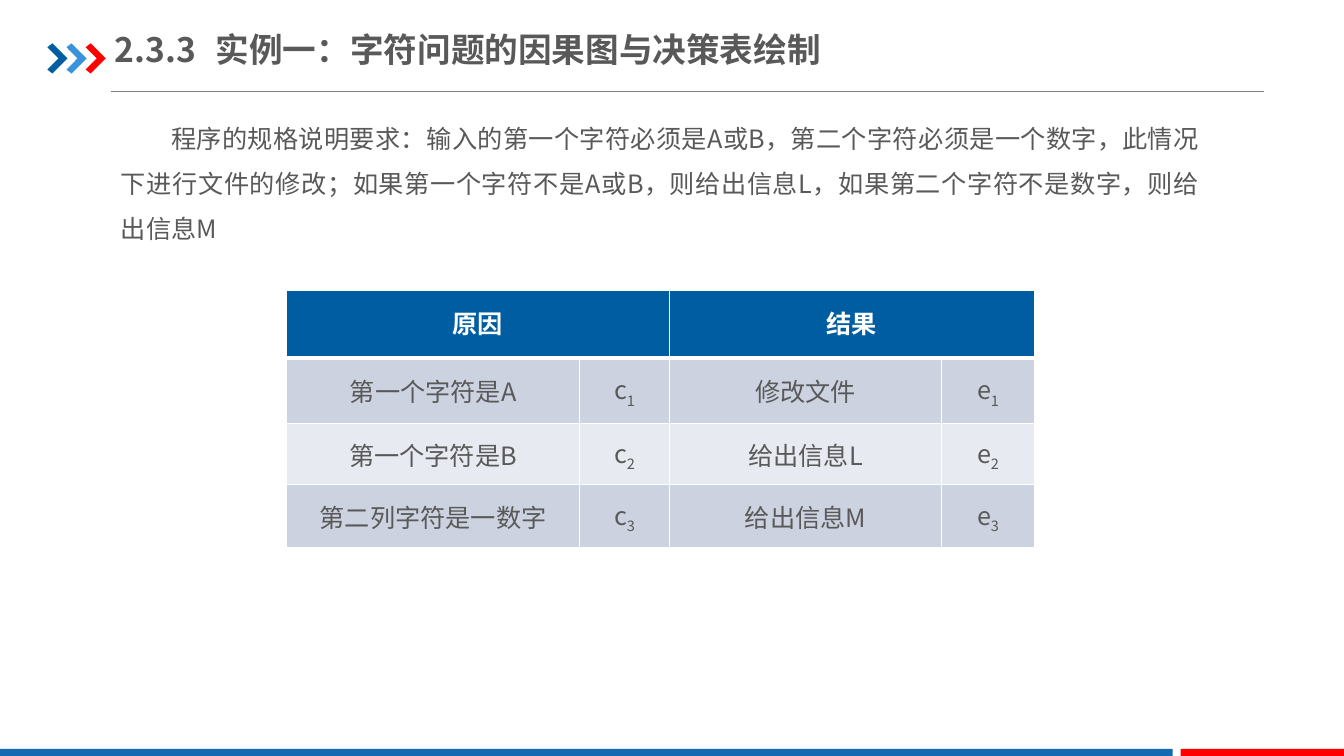
import pptx
import pptx.util
import pptx.dml.color
import pptx.enum.shapes
import pptx.enum.text
import pptx.oxml
import pptx.oxml.ns
from dataclasses import dataclass

Inches, Pt = pptx.util.Inches, pptx.util.Pt
ALIGN, ANCHOR = pptx.enum.text.PP_ALIGN, pptx.enum.text.MSO_ANCHOR
NS = pptx.oxml.ns.nsdecls("a")


@dataclass(frozen=True)
class Theme:
    font: str = "Noto Sans CJK SC"
    ink: str = "595959"
    white: str = "FFFFFF"
    navy: str = "005DA2"
    sky: str = "3992DB"
    blue: str = "1369B2"
    red: str = "FF0000"
    rule: str = "808080"
    odd: str = "CCD2E0"
    even: str = "E7EAF0"
    head: int = 24
    body: int = 18


THEME = Theme()


def rgb(code):
    return pptx.dml.color.RGBColor.from_string(code)


def style(par, size, color, bold=False):
    for run in par.runs:
        run.font.name = THEME.font
        run.font.size = Pt(size)
        run.font.bold = bold
        run.font.color.rgb = rgb(color)
        run._r.get_or_add_rPr().append(pptx.oxml.parse_xml(
            f'<a:ea {NS} typeface="{THEME.font}"/>'))


def paint(shape, color):
    shape.shadow.inherit = False
    shape.fill.solid()
    shape.fill.fore_color.rgb = rgb(color)
    shape.line.fill.background()


def place(shape, left, top, width, height):
    shape.left, shape.top = Inches(left), Inches(top)
    shape.width, shape.height = Inches(width), Inches(height)


# Three chevrons beside the title
def add_marks(slide, left, top, width, height):
    outline = [(0, 0.13), (0.25, 0), (1, 0.5), (0.25, 1), (0, 0.87), (0.55, 0.5)]
    step = 0.19
    wide = width - 2 * step
    for i, color in enumerate((THEME.navy, THEME.sky, THEME.red)):
        points = [(Inches(left + i * step + x * wide), Inches(top + y * height))
                  for x, y in outline]
        pen = slide.shapes.build_freeform(*points[0])
        pen.add_line_segments(points[1:], close=True)
        paint(pen.convert_to_shape(), color)


# Title with the rule below it
def add_title(slide, text, left, top, width, height):
    title = slide.shapes.title
    place(title, left, top, width, height)
    frame = title.text_frame
    frame.text = text
    frame.auto_size = pptx.enum.text.MSO_AUTO_SIZE.NONE
    frame.vertical_anchor = ANCHOR.MIDDLE
    frame.margin_left = frame.margin_right = 0
    frame.margin_top = frame.margin_bottom = Inches(0.07)
    frame.paragraphs[0].alignment = ALIGN.LEFT
    style(frame.paragraphs[0], THEME.head, THEME.ink, True)

    base = Inches(top + height + 0.15)
    rule = slide.shapes.add_connector(
        pptx.enum.shapes.MSO_CONNECTOR.STRAIGHT,
        Inches(left - 0.04), base, Inches(left + 11.4), base)
    rule.line.color.rgb = rgb(THEME.rule)
    rule.line.width = Pt(0.75)
    rule._element.spPr.append(pptx.oxml.parse_xml(f"<a:effectLst {NS}/>"))


# Paragraph with a first-line indent
def add_body(slide, text, left, top, width, height):
    box = slide.shapes.add_textbox(
        Inches(left), Inches(top), Inches(width), Inches(height))
    frame = box.text_frame
    frame.word_wrap = True
    frame.margin_left = frame.margin_right = Inches(0.13)
    frame.margin_top = frame.margin_bottom = Inches(0.07)
    frame.text = text
    par = frame.paragraphs[0]
    par.alignment = ALIGN.JUSTIFY
    par.line_spacing = 1.5
    par._p.get_or_add_pPr().set("indent", str(Inches(0.5)))
    style(par, THEME.body, THEME.ink)


def fill_cell(cell, text, sub, fill, color, head):
    props = cell._tc.get_or_add_tcPr()
    for side in "LRTB":
        width = Pt(3 if head and side == "B" else 1)
        props.append(pptx.oxml.parse_xml(
            f'<a:ln{side} {NS} w="{width}"><a:solidFill>'
            f'<a:srgbClr val="{THEME.white}"/></a:solidFill></a:ln{side}>'))
    cell.fill.solid()
    cell.fill.fore_color.rgb = rgb(fill)
    cell.vertical_anchor = ANCHOR.MIDDLE
    par = cell.text_frame.paragraphs[0]
    par.text = text
    par.alignment = ALIGN.CENTER
    if head:
        par.line_spacing = 0.9
    if sub:
        run = par.add_run()
        run.text = sub
        run._r.get_or_add_rPr().set("baseline", "-25000")
    style(par, THEME.body, color, head)


# Table of causes and effects
def add_grid(slide, heads, pairs, left, top, width, height):
    cols, rows = (2.91, 0.89, 2.7, 0.92), (0.67, 0.65, 0.61, 0.62)
    grid = slide.shapes.add_table(
        len(rows), len(cols), Inches(left), Inches(top),
        Inches(width), Inches(height)).table
    for col, size in zip(grid.columns, cols):
        col.width = Inches(size)
    for row, size in zip(grid.rows, rows):
        row.height = Inches(size)

    for i, head in enumerate(heads):
        grid.cell(0, 2 * i).merge(grid.cell(0, 2 * i + 1))
        for col, text in enumerate((head, "")):
            fill_cell(grid.cell(0, 2 * i + col), text, "", THEME.navy, THEME.white, True)
    for r, (cause, effect) in enumerate(pairs, 1):
        fill = THEME.odd if r % 2 else THEME.even
        parts = ((cause, ""), ("c", str(r)), (effect, ""), ("e", str(r)))
        for c, (text, sub) in enumerate(parts):
            fill_cell(grid.cell(r, c), text, sub, fill, THEME.ink, False)


# Two bars along the bottom edge
def add_foot(slide, left, top, width, height):
    gap, end = 0.08, 1.62
    main = width - gap - end
    for x, wide, color in ((left, main, THEME.blue),
                           (left + main + gap, end, THEME.red)):
        bar = slide.shapes.add_shape(
            pptx.enum.shapes.MSO_SHAPE.RECTANGLE,
            Inches(x), Inches(top), Inches(wide), Inches(height))
        paint(bar, color)


def main():
    deck = pptx.Presentation()
    deck.slide_width, deck.slide_height = Inches(13.33), Inches(7.5)
    slide = deck.slides.add_slide(deck.slide_layouts[5])
    add_marks(slide, 0.47, 0.43, 0.58, 0.3)
    add_foot(slide, 0, 7.43, 13.33, 0.07)
    add_title(slide, "2.3.3\t实例一：字符问题的因果图与决策表绘制",
              1.14, 0.21, 9.94, 0.55)
    add_body(slide,
             "程序的规格说明要求：输入的第一个字符必须是A或B，"
             "第二个字符必须是一个数字，此情况下进行文件的修改；"
             "如果第一个字符不是A或B，则给出信息L，"
             "如果第二个字符不是数字，则给出信息M",
             1.07, 1, 10.95, 1.44)
    add_grid(slide, ("原因", "结果"),
             (("第一个字符是A", "修改文件"),
              ("第一个字符是B", "给出信息L"),
              ("第二列字符是一数字", "给出信息M")),
             2.84, 2.88, 7.42, 2.55)
    deck.save("out.pptx")


if __name__ == "__main__":
    main()
